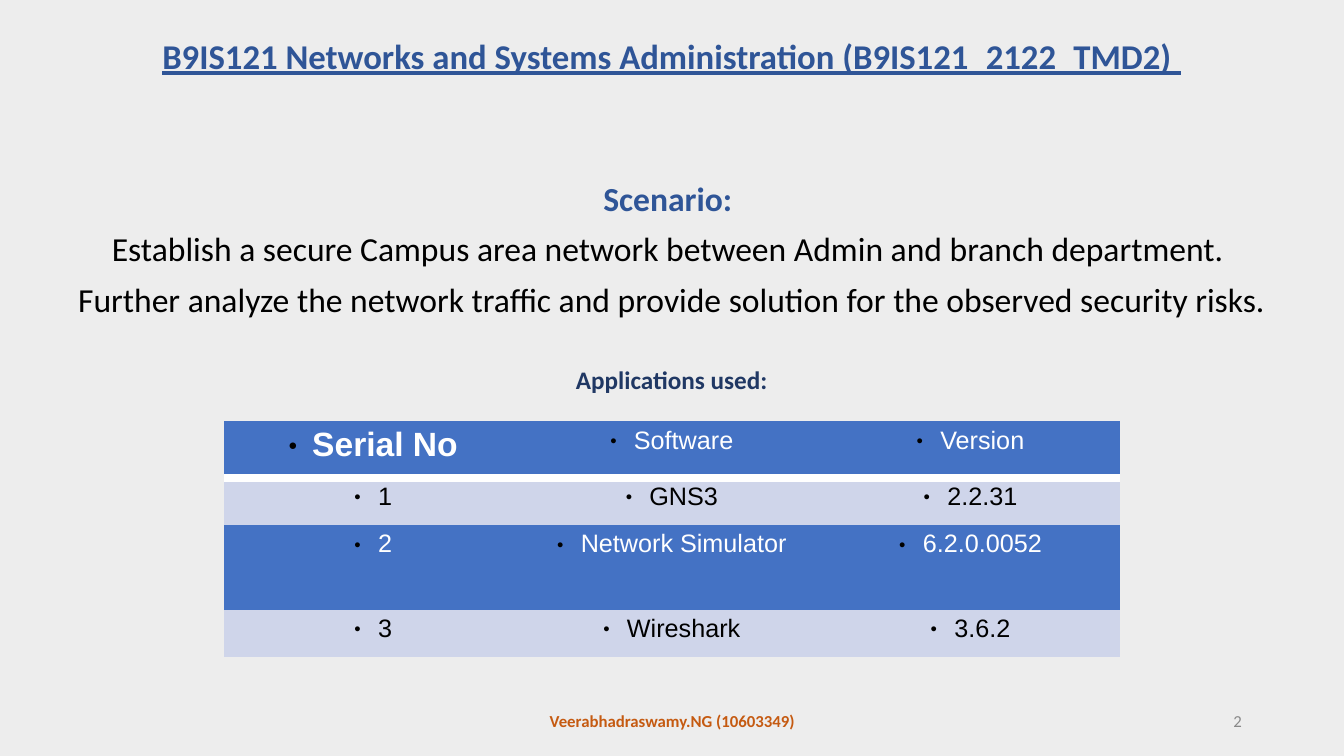
import pptx
import pptx.dml.color
import pptx.enum.text
import pptx.oxml
import pptx.oxml.ns
import pptx.util
from pptx.util import Cm

RGBColor = pptx.dml.color.RGBColor
ALIGN = pptx.enum.text.PP_ALIGN
ANCHOR = pptx.enum.text.MSO_ANCHOR

PAPER = RGBColor(0xED, 0xED, 0xED)
BLUE = RGBColor(0x2F, 0x55, 0x97)
NAVY = RGBColor(0x20, 0x38, 0x64)
RUST = RGBColor(0xC5, 0x5A, 0x11)
GREY = RGBColor(0x89, 0x89, 0x89)
BLACK = RGBColor(0, 0, 0)
WHITE = RGBColor(0xFF, 0xFF, 0xFF)
DARK = RGBColor(0x44, 0x72, 0xC4)
PALE = RGBColor(0xCF, 0xD5, 0xEA)

NO_STYLE = "{2D5ABB26-0587-4C30-8999-92F81FD0307C}"
NS = pptx.oxml.ns.nsdecls("a")
BULLET = (
    f'<a:buClr {NS}><a:srgbClr val="000000"/></a:buClr>',
    f'<a:buSzPct {NS} val="45000"/>',
    f'<a:buFont {NS} typeface="Arial"/>',
    f'<a:buChar {NS} char="●"/>',
)
RULE = (f'<a:lnB {NS} w="76200"><a:solidFill><a:srgbClr val="FFFFFF"/>'
        '</a:solidFill></a:lnB>')


def style(para, size, color, bold=False, face="Calibri", align=ALIGN.CENTER):
    para.alignment = align
    font = para.font
    font.name, font.size, font.bold = face, pptx.util.Pt(size), bold
    font.color.rgb = color


def place(shape, left, top, width, height, anchor):
    """Move a shape, in centimetres, and fix how its text sits."""
    shape.left, shape.top = Cm(left), Cm(top)
    shape.width, shape.height = Cm(width), Cm(height)
    frame = shape.text_frame
    frame.word_wrap = True
    frame.auto_size = pptx.enum.text.MSO_AUTO_SIZE.NONE
    frame.vertical_anchor = anchor
    return frame


deck = pptx.Presentation()
deck.slide_width, deck.slide_height = Cm(33.87), Cm(19.05)
slide = deck.slides.add_slide(deck.slide_layouts[0])
slide.background.fill.solid()
slide.background.fill.fore_color.rgb = PAPER

# Title
title = place(slide.shapes.title, 0.5, 0.48, 32.85, 1.55, ANCHOR.BOTTOM)
title.text = "B9IS121 Networks and Systems Administration (B9IS121_2122_TMD2) "
para = title.paragraphs[0]
style(para, 24.8, BLUE, True)
para.font.underline = True
para.line_spacing = 0.7

# Scenario
body = place(slide.placeholders[1], 0.25, 4.47, 33.35, 3.99, ANCHOR.TOP)
body.text = "\n".join((
    "Scenario: ",
    "Establish a secure Campus area network between Admin and branch department. ",
    "Further analyze the network traffic and provide solution for the observed security risks.",
))
for i, para in enumerate(body.paragraphs):
    style(para, 24, BLACK if i else BLUE, i == 0)
    para.line_spacing = 0.9
    para.space_before = pptx.util.Pt(10 if i else 0)

# Table heading, footer and page number
LABELS = (
    ("Applications used:", (12.27, 9.04, 9.32, 1.02, ANCHOR.BOTTOM),
     (18, NAVY, True), ALIGN.CENTER),
    ("Veerabhadraswamy.NG (10603349)", (11.23, 17.65, 11.43, 1.02, ANCHOR.MIDDLE),
     (12, RUST, True), ALIGN.CENTER),
    ("2", (23.93, 17.65, 7.62, 1.02, ANCHOR.MIDDLE),
     (12, GREY, False), ALIGN.RIGHT),
)
for text, spot, look, align in LABELS:
    frame = place(slide.shapes.add_textbox(0, 0, 0, 0), *spot)
    frame.text = text
    style(frame.paragraphs[0], *look, align=align)

# Table of applications
ROWS = (
    (1.42, ("Serial No", "Software", "Version")),
    (1.19, ("1", "GNS3", "2.2.31")),
    (2.13, ("2", "Network Simulator", "6.2.0.0052")),
    (1.19, ("3", "Wireshark", "3.6.2")),
)
holder = slide.shapes.add_table(len(ROWS), 3, Cm(5.64), Cm(10.62), Cm(22.58), Cm(5.93))
table = holder.table
table.horz_banding = False
holder.element.find(".//" + pptx.oxml.ns.qn("a:tableStyleId")).text = NO_STYLE

for r, (height, texts) in enumerate(ROWS):
    table.rows[r].height = Cm(height)
    for c, text in enumerate(texts):
        cell = table.cell(r, c)
        cell.text = text
        props = cell._tc.get_or_add_tcPr()
        if r == 0:
            props.append(pptx.oxml.parse_xml(RULE))
        cell.fill.solid()
        cell.fill.fore_color.rgb = PALE if r % 2 else DARK
        para = cell.text_frame.paragraphs[0]
        mark = para._p.get_or_add_pPr()
        mark.set("marL", str(Cm(0.6)))
        mark.set("indent", str(Cm(-0.6)))
        for part in BULLET:
            mark.append(pptx.oxml.parse_xml(part))
        first = r == c == 0
        style(para, 24 if first else 18, BLACK if r % 2 else WHITE, first, "Arial")

deck.save("out.pptx")
